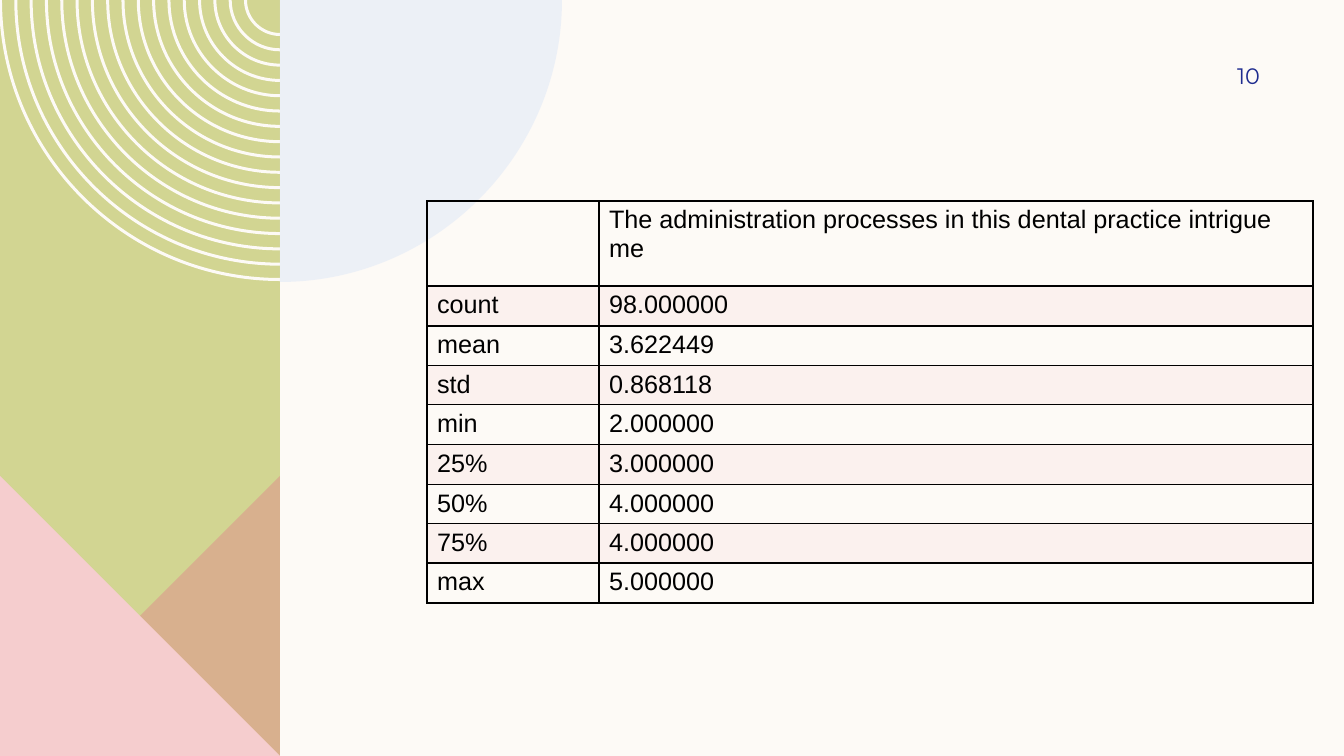
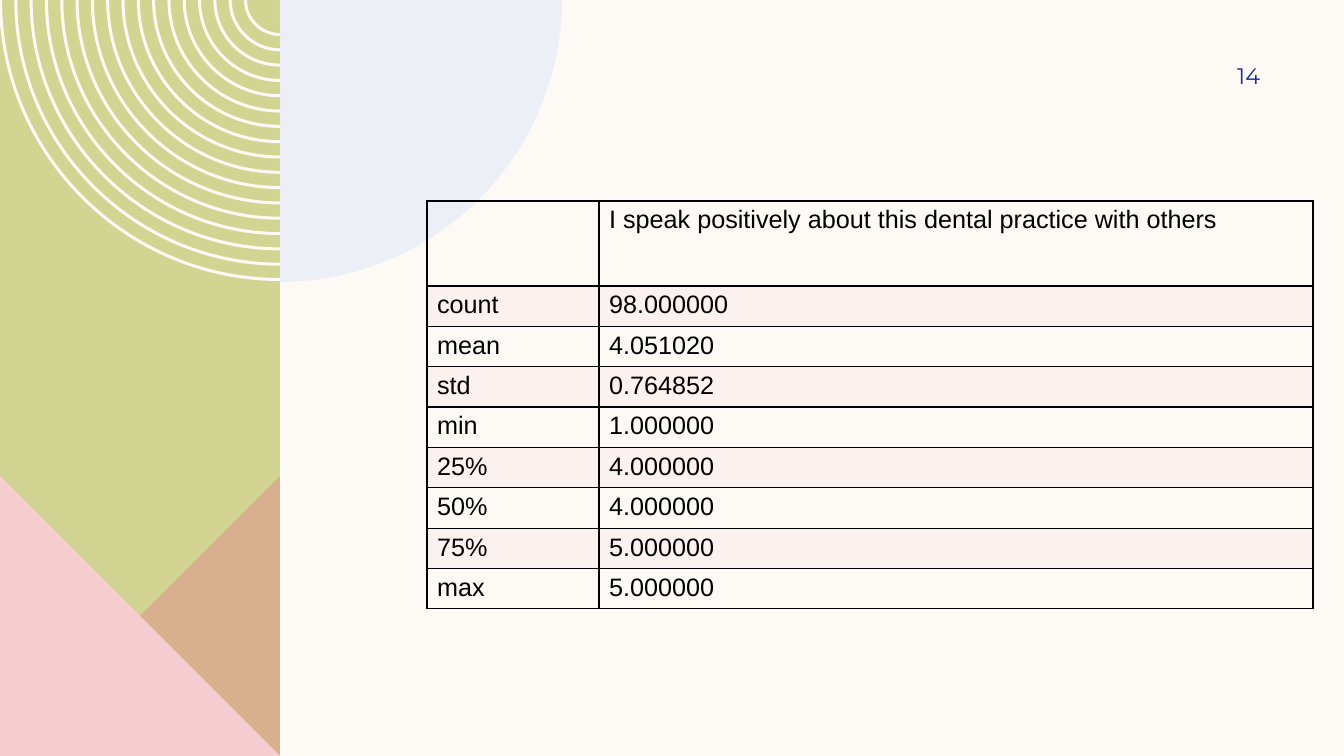
from itertools import chain

from pptx import Presentation
from pptx.dml.color import RGBColor
from pptx.enum.text import MSO_ANCHOR, PP_ALIGN
from pptx.oxml import parse_xml
from pptx.oxml.ns import nsdecls, qn
from pptx.oxml.xmlchemy import OxmlElement
from pptx.util import Pt

STATISTICS = ["count", "mean", "std", "min", "25%", "50%", "75%", "max"]
SLIDES = [
    {
        "number": "10",
        "statement": "The administration processes in this dental practice intrigue me",
        "values": ["98.000000", "3.622449", "0.868118", "2.000000",
                   "3.000000", "4.000000", "4.000000", "5.000000"],
    },
    {
        "number": "14",
        "statement": "I speak positively about this dental practice with others",
        "values": ["98.000000", "4.051020", "0.764852", "1.000000",
                   "4.000000", "4.000000", "5.000000", "5.000000"],
    },
]

COLOURS = {
    "cream": "FDFAF6",
    "green": "D2D592",
    "rose": "DE8C8C",
    "pink": "F5CDCE",
    "blue": "DDE7F6",
    "navy": "1F2C8F",
    "black": "000000",
}
TABLE_FONT = "Arial"
NUMBER_FONT = "Montserrat"

PX = 914400 / 100.8
WIDTH, HEIGHT = 1344, 756
BAND = 280
TRIANGLE_TOP = HEIGHT - BAND
DISC_RADIUS = 282
RINGS, RING_OUTER, RING_INNER, RING_WIDTH = 17, 281, 36, 3
ARC_PULL = 0.55
TABLE_LEFT, TABLE_TOP = 427, 201
COLUMNS = [172, 714]
ROWS = [85, 40, 40, 39, 40, 40, 38, 40, 40]
NUMBER_BOX = (1142, 50, 118, 52)


def px(length):
    return round(length * PX)


def paint(fill, properties, colour, opacity=100):
    fill.solid()
    fill.fore_color.rgb = RGBColor.from_string(COLOURS[colour])
    if opacity < 100:
        alpha = OxmlElement("a:alpha")
        alpha.set("val", str(opacity * 1000))
        properties.find(qn("a:solidFill")).find(qn("a:srgbClr")).append(alpha)


def bend(outline, segments):
    lines = iter(outline._element.findall(".//" + qn("a:lnTo")))
    for segment in segments:
        steps = [next(lines) for _ in segment]
        if len(steps) == 3:
            curve = OxmlElement("a:cubicBezTo")
            steps[0].addprevious(curve)
            for step in steps:
                curve.append(step[0])
                step.getparent().remove(step)


def add_outline(slide, contours, colour, opacity=100):
    builder = None
    for (start,), *segments in contours:
        corner = px(start[0]), px(start[1])
        if builder is None:
            builder = slide.shapes.build_freeform(*corner)
        else:
            builder.move_to(*corner)
        points = [(px(x), px(y)) for x, y in chain(*segments)]
        builder.add_line_segments(points, close=True)
    outline = builder.convert_to_shape()
    bend(outline, chain(*(contour[1:] for contour in contours)))
    outline.shadow.inherit = False
    outline.line.fill.background()
    paint(outline.fill, outline._element.spPr, colour, opacity)


def polygon(*points):
    return [[point] for point in points]


def quarter_arc(radius, side):
    pull = radius * ARC_PULL
    return [(BAND + side * radius, 0), (BAND + side * radius, pull),
            (BAND + side * pull, radius), (BAND, radius)]


def ring(radius):
    outer = quarter_arc(radius, -1)
    inner = quarter_arc(radius - RING_WIDTH, -1)[::-1]
    return [outer[:1], outer[1:], inner[:1], inner[1:]]


def add_decoration(slide):
    gap = (RING_OUTER - RING_INNER) / (RINGS - 1)
    rings = [ring(RING_OUTER - index * gap) for index in range(RINGS)]
    disc = quarter_arc(DISC_RADIUS, 1)
    top_left, top_right = (0, TRIANGLE_TOP), (BAND, TRIANGLE_TOP)
    bottom_left, bottom_right = (0, HEIGHT), (BAND, HEIGHT)
    add_outline(slide, [polygon((0, 0), (BAND, 0), bottom_right, bottom_left)], "green")
    add_outline(slide, rings, "cream")
    add_outline(slide, [polygon(top_right, bottom_right, bottom_left)], "rose", 50)
    add_outline(slide, [polygon(top_left, bottom_right, bottom_left)], "pink")
    add_outline(slide, [[[(BAND, 0)], disc[:1], disc[1:]]], "blue", 50)


def write(paragraph, text, font, size, colour):
    run = paragraph.add_run()
    run.text = text
    run.font.name = font
    run.font.size = Pt(size)
    run.font.color.rgb = RGBColor.from_string(COLOURS[colour])


def add_borders(properties):
    for side in ("lnL", "lnR", "lnT", "lnB"):
        properties.append(parse_xml(
            f'<a:{side} {nsdecls("a")} w="{Pt(1)}"><a:solidFill>'
            f'<a:srgbClr val="{COLOURS["black"]}"/></a:solidFill></a:{side}>'))


def add_statistics(slide, statement, values):
    content = [("", statement), *zip(STATISTICS, values)]
    table = slide.shapes.add_table(
        len(ROWS), len(COLUMNS), px(TABLE_LEFT), px(TABLE_TOP),
        px(sum(COLUMNS)), px(sum(ROWS))).table
    table.first_row = False
    table.horz_banding = False
    for column, width in zip(table.columns, COLUMNS):
        column.width = px(width)
    for index, (row, height, texts) in enumerate(zip(table.rows, ROWS, content)):
        row.height = px(height)
        for cell, text in zip(row.cells, texts):
            properties = cell._tc.get_or_add_tcPr()
            add_borders(properties)
            if index % 2:
                paint(cell.fill, properties, "pink", 20)
            else:
                cell.fill.background()
            if text:
                write(cell.text_frame.paragraphs[0], text, TABLE_FONT, 18, "black")


def add_number(slide, number):
    frame = slide.shapes.add_textbox(*map(px, NUMBER_BOX)).text_frame
    frame.word_wrap = True
    frame.vertical_anchor = MSO_ANCHOR.MIDDLE
    frame.margin_right = 0
    paragraph = frame.paragraphs[0]
    paragraph.alignment = PP_ALIGN.RIGHT
    write(paragraph, number, NUMBER_FONT, 16, "navy")


def main():
    deck = Presentation()
    deck.slide_width, deck.slide_height = px(WIDTH), px(HEIGHT)
    backdrop = deck.slide_master.background.fill
    backdrop.solid()
    backdrop.fore_color.rgb = RGBColor.from_string(COLOURS["cream"])
    blank = deck.slide_layouts[6]
    for content in SLIDES:
        slide = deck.slides.add_slide(blank)
        add_decoration(slide)
        add_statistics(slide, content["statement"], content["values"])
        add_number(slide, content["number"])
    deck.save("out.pptx")


if __name__ == "__main__":
    main()
